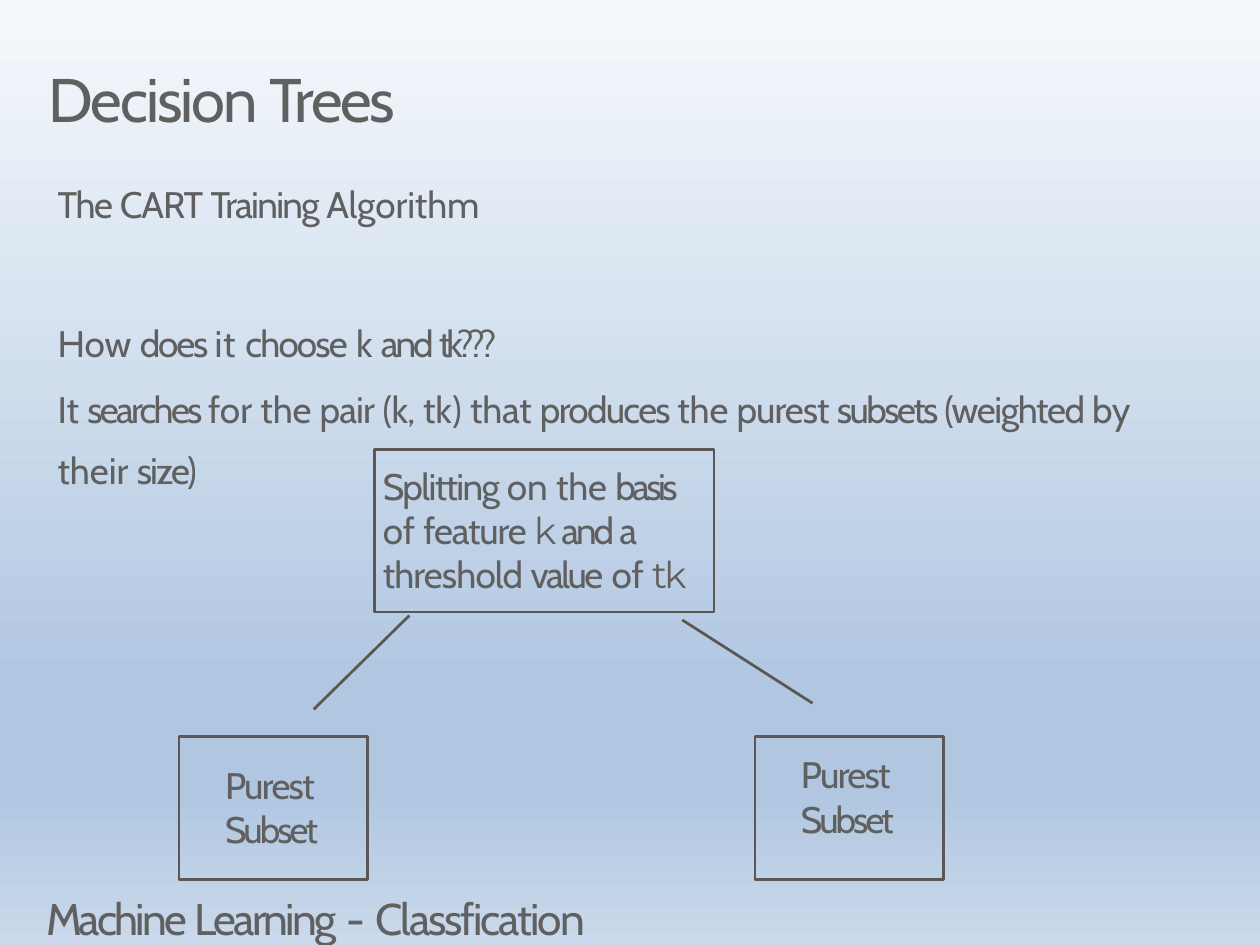
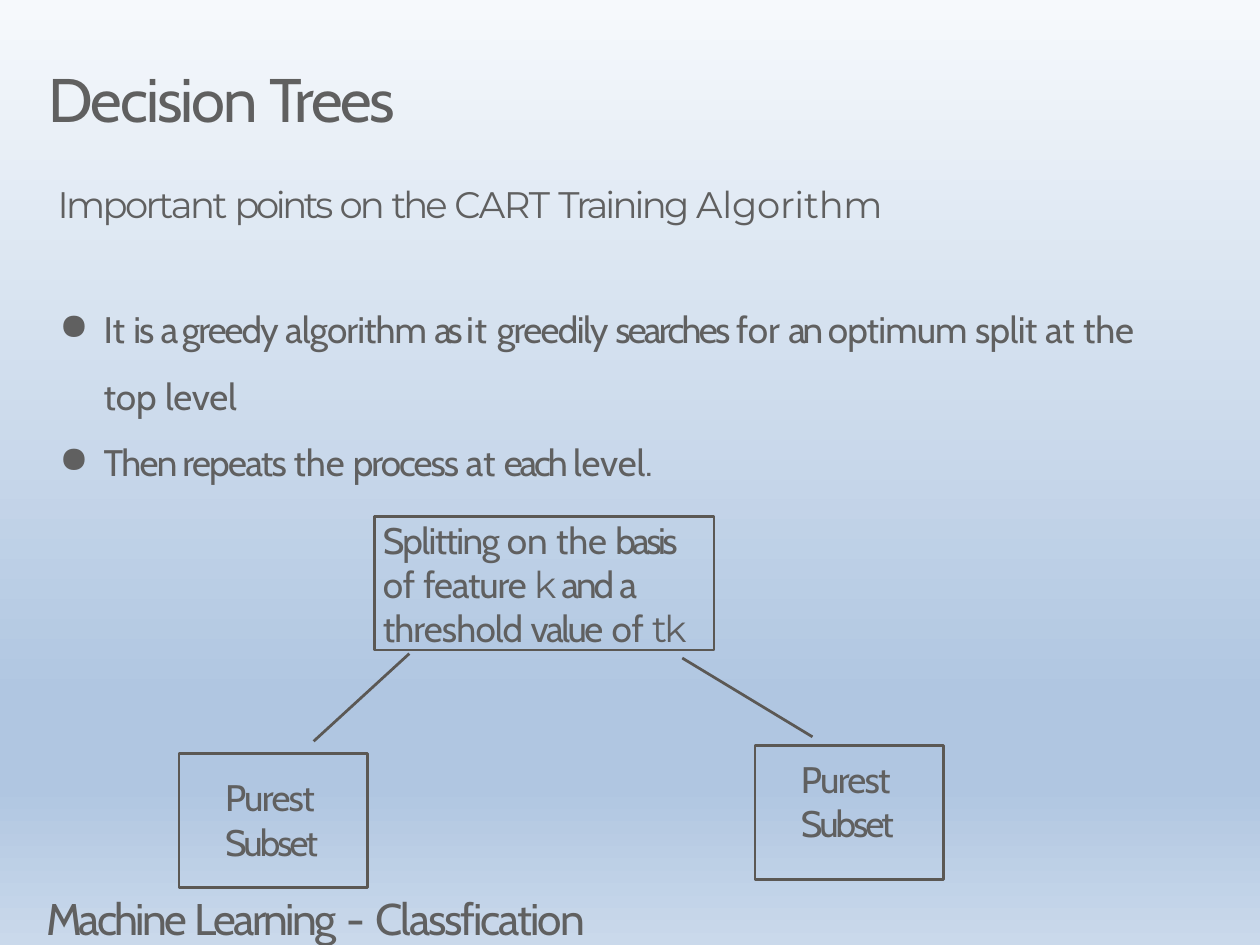
from lxml.etree import SubElement
from pptx import Presentation
from pptx.dml.color import RGBColor
from pptx.enum.shapes import MSO_CONNECTOR, MSO_SHAPE
from pptx.enum.text import MSO_ANCHOR, PP_ALIGN
from pptx.oxml.ns import qn
from pptx.util import Inches, Pt

TEXT_COLOR = RGBColor(0x60, 0x60, 0x60)
LINE_COLOR = RGBColor(0x5B, 0x58, 0x54)
BACKGROUND_STOPS = [
    (0, RGBColor(0xF6, 0xF9, 0xFC)),
    (74, RGBColor(0xB0, 0xC6, 0xE1)),
    (83, RGBColor(0xB0, 0xC6, 0xE1)),
    (100, RGBColor(0xCA, 0xD9, 0xEB)),
]
BODY_FONT = "Cabin"
ACCENT_FONT = "Montserrat"
BODY_SIZE = 30
LINE_WIDTH = Pt(2.25)

TITLE = [("Decision ", -1.7), ("Trees", -2)]
FOOTER = [("Machine ", -2.3), ("Learning", -2.1), (" - ", 0), ("Classfication", -1.7)]
ROOT = [
    ("Splitting ", -1.3), ("on ", 0), ("the ", -0.1), ("basis ", -2.9), ("of ", 0),
    ("feature ", -0.9), ("k ", -3.6, ACCENT_FONT), ("and ", -2.5), ("a ", -4.3),
    ("threshold ", -0.7), ("value", -2), (" of ", 0), ("tk", -2.3, ACCENT_FONT),
]
LEAF = [("Purest ", -1.4), ("Subset", -2.4)]

CART_HEADING = [("The ", -1.2), ("CART ", -0.9), ("Training ", -1.4), ("Algorithm", -0.1)]
CART_QUESTION = [
    ("How ", 0), ("does ", -1.7), ("it ", 0.6), ("choose", -1.5), (" k ", 0),
    ("and ", -2.5), ("tk???", -4),
]
CART_ANSWER = [
    ("It ", 0), ("searches ", -2.2), ("for ", 0), ("the ", -0.1), ("pair ", -0.7),
    ("(k, ", -0.5), ("tk) ", 0), ("that ", -0.1), ("produces ", -1.4), ("the ", -0.1),
    ("purest ", -0.8), ("subsets ", -2.1), ("(weighted ", -1.1), ("by", -0.2),
]
CART_ANSWER_END = [("their ", 0), ("size)", -1.6)]

POINTS_HEADING = [
    ("Important ", -2.1), ("points ", -2.8), ("on ", -2.4), ("the ", -2.5),
    ("CART ", -1.1), ("Training ", -2.3), ("Algorithm", -0.2),
]
GREEDY_POINT = [
    ("It ", 0), ("is ", -1.7), ("a ", -3.9), ("greedy ", -1.6), ("algorithm ", -0.8),
    ("as ", -3.9), ("it ", 0.6), ("greedily ", -1.3), ("searches ", -2.2), ("for ", 0),
    ("an ", -2.9), ("optimum ", -0.7), ("split ", -0.5), ("at ", 0), ("the ", -0.2),
    ("top ", 0), ("level", -0.2),
]
REPEAT_POINT = [
    ("Then repeats ", -1.4), ("the ", -0.1), ("process ", -1.6), ("at ", 0),
    ("each ", -2.5), ("level.", -0.1),
]


def set_background(master):
    """Give the slide master its vertical gradient."""
    fill = master.background.fill
    fill.gradient()
    fill.gradient_angle = 270
    stop_list = master.element.find(".//" + qn("a:gsLst"))
    for stop in list(stop_list):
        stop_list.remove(stop)
    for position, color in BACKGROUND_STOPS:
        stop = SubElement(stop_list, qn("a:gs"), pos=str(position * 1000))
        SubElement(stop, qn("a:srgbClr"), val=str(color))


def write_paragraph(paragraph, runs, size=BODY_SIZE, font=BODY_FONT, before=0):
    """Write runs of (text, letter spacing, optional font) into a paragraph."""
    paragraph.alignment = PP_ALIGN.LEFT
    paragraph.space_before = Pt(before)
    paragraph.font.size = Pt(size)
    paragraph.font.name = font
    paragraph.font.color.rgb = TEXT_COLOR
    for text, spacing, *run_font in runs:
        run = paragraph.add_run()
        run.text = text
        if run_font:
            run.font.name = run_font[0]
        run._r.get_or_add_rPr().set("spc", str(round(spacing * 100)))


def prepare_frame(shape, left_inset=0.01, top_inset=0.01, right_inset=0):
    """Set the wrapping and insets of a shape's text and return its frame."""
    frame = shape.text_frame
    frame.word_wrap = True
    frame.vertical_anchor = MSO_ANCHOR.TOP
    frame.margin_left, frame.margin_top = Inches(left_inset), Inches(top_inset)
    frame.margin_right, frame.margin_bottom = Inches(right_inset), 0
    return frame


def add_text(slide, left, top, width, height, runs, top_inset=0.01, **style):
    """Add a text box with a first paragraph and return its frame."""
    box = slide.shapes.add_textbox(Inches(left), Inches(top), Inches(width), Inches(height))
    frame = prepare_frame(box, top_inset=top_inset)
    write_paragraph(frame.paragraphs[0], runs, **style)
    return frame


def add_bullet(paragraph):
    """Give a paragraph a hanging round bullet."""
    properties = paragraph._p.get_or_add_pPr()
    properties.set("marL", str(Inches(0.52)))
    properties.set("indent", str(Inches(-0.5)))
    bullet = properties.makeelement(qn("a:buChar"), {"char": "●"})
    properties.insert_element_before(bullet, "a:tabLst", "a:defRPr", "a:extLst")


def add_node(slide, left, top, width, height, runs, **insets):
    """Add an outlined box of the decision tree."""
    node = slide.shapes.add_shape(
        MSO_SHAPE.RECTANGLE, Inches(left), Inches(top), Inches(width), Inches(height))
    node.shadow.inherit = False
    node.fill.background()
    node.line.color.rgb = LINE_COLOR
    node.line.width = LINE_WIDTH
    write_paragraph(prepare_frame(node, **insets).paragraphs[0], runs)


def add_branch(slide, start_x, start_y, end_x, end_y):
    """Add a straight branch of the decision tree."""
    branch = slide.shapes.add_connector(
        MSO_CONNECTOR.STRAIGHT, Inches(start_x), Inches(start_y), Inches(end_x), Inches(end_y))
    branch.line.color.rgb = LINE_COLOR
    branch.line.width = LINE_WIDTH
    SubElement(branch._element.spPr, qn("a:effectLst"))


def add_tree(slide, left, top, root_height, root_inset, leaf_height, leaves, drops):
    """Add a root box, two leaves of (offset, inset) and the branches between."""
    add_node(slide, left + 2.21, top, 3.83, root_height, ROOT,
             left_inset=0.09, top_inset=root_inset, right_inset=0.2)
    for leaf_left, (offset, inset) in zip((left, left + 6.5), leaves):
        add_node(slide, leaf_left, top + offset, 2.13, leaf_height, LEAF,
                 left_inset=0.52, top_inset=inset)
    bottom = top + root_height
    ends = ((2.6, 1.52, 0.04), (5.68, 7.15, 0.09))
    for (start_x, end_x, gap), drop in zip(ends, drops):
        start_y = bottom + gap
        add_branch(slide, left + start_x, start_y, left + end_x, start_y + drop)


def add_base_slide(presentation):
    """Add a blank slide with the shared title and footer."""
    slide = presentation.slides.add_slide(presentation.slide_layouts[6])
    add_text(slide, 0.54, 0.68, 4.3, 0.86, TITLE, size=50)
    add_text(slide, 0.51, 10.02, 6.52, 0.64, FOOTER, top_inset=0.04, size=36)
    return slide


def add_algorithm_slide(presentation):
    """Add the slide on how the algorithm chooses a split."""
    slide = add_base_slide(presentation)
    frame = add_text(slide, 0.64, 2.04, 12.94, 2.78, CART_HEADING)
    write_paragraph(frame.add_paragraph(), CART_QUESTION, before=77)
    write_paragraph(frame.add_paragraph(), CART_ANSWER, before=18)
    add_text(slide, 0.64, 5.04, 1.7, 0.53, CART_ANSWER_END)
    add_tree(slide, 2.02, 5.08, 1.83, 0.15, 1.61,
             leaves=((3.24, 0.29), (3.24, 0.17)), drops=(1.06, 0.94))


def add_points_slide(presentation):
    """Add the slide of important points."""
    slide = add_base_slide(presentation)
    frame = add_text(slide, 0.64, 2.04, 12.84, 3.53, POINTS_HEADING, font=ACCENT_FONT)
    for runs, before, spacing in ((GREEDY_POINT, 48, 1.5), (REPEAT_POINT, 18, 1.0)):
        paragraph = frame.add_paragraph()
        write_paragraph(paragraph, runs, before=before)
        paragraph.line_spacing = spacing
        add_bullet(paragraph)
    add_tree(slide, 2.02, 5.83, 1.51, 0.01, 1.51,
             leaves=((2.68, 0.24), (2.59, 0.12)), drops=(0.99, 0.89))


def main():
    """Build and save the presentation."""
    presentation = Presentation()
    presentation.slide_width = Inches(14.22)
    presentation.slide_height = Inches(10.67)
    set_background(presentation.slide_master)
    add_algorithm_slide(presentation)
    add_points_slide(presentation)
    presentation.save("out.pptx")


if __name__ == "__main__":
    main()
